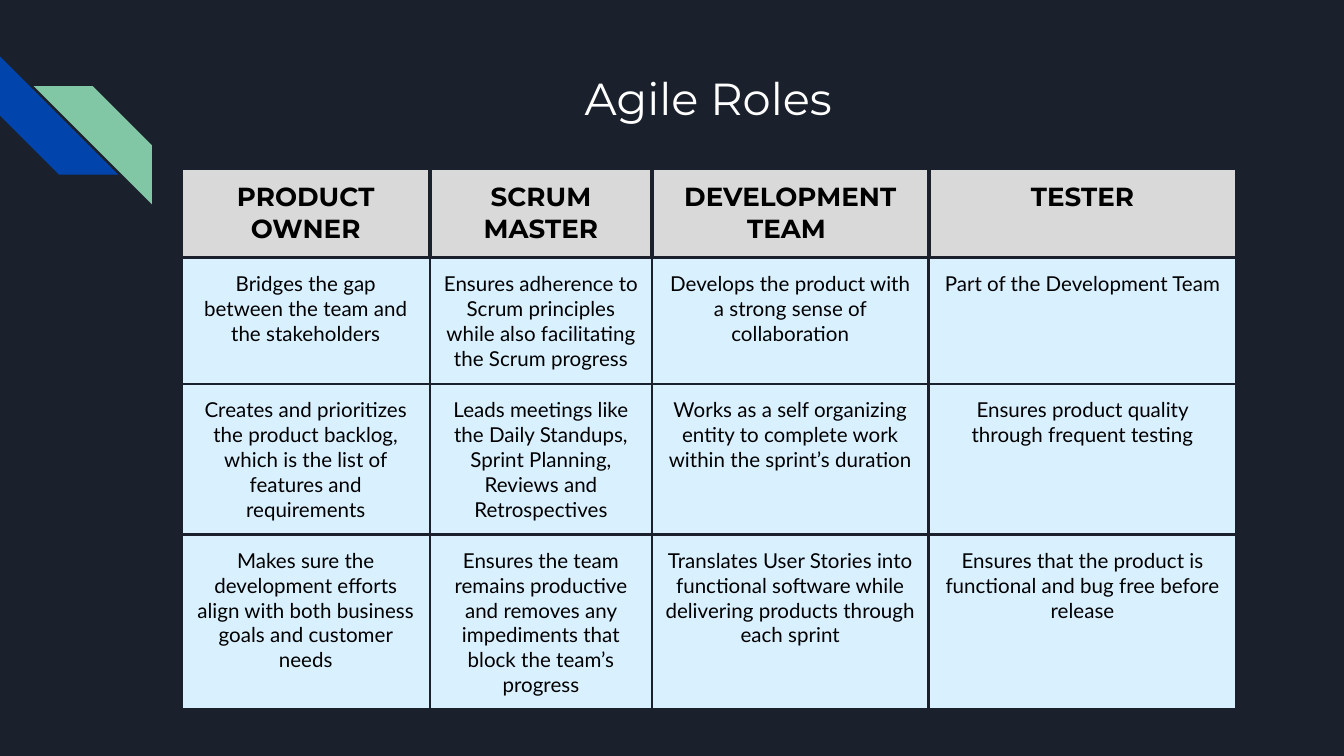
from dataclasses import dataclass

from lxml.etree import SubElement
from pptx import Presentation
from pptx.dml.color import RGBColor as RGB
from pptx.enum.shapes import MSO_SHAPE as SHAPE
from pptx.enum.text import MSO_ANCHOR as ANCHOR, PP_ALIGN as ALIGN
from pptx.oxml.ns import qn
from pptx.util import Inches, Pt

# Content
TITLE = "Agile Roles"
ROLES = [
    ("PRODUCT OWNER", "SCRUM MASTER", "DEVELOPMENT TEAM ", "TESTER"),
    ("Bridges the gap between the team and the stakeholders",
     "Ensures adherence to Scrum principles while also facilitating the Scrum progress",
     "Develops the product with a strong sense of collaboration",
     "Part of the Development Team"),
    ("Creates and prioritizes the product backlog, which is the list of features and requirements",
     "Leads meetings like the Daily Standups, Sprint Planning, Reviews and Retrospectives",
     "Works as a self organizing entity to complete work within the sprint’s duration",
     "Ensures product quality through frequent testing"),
    ("Makes sure the development efforts align with both business goals and customer needs",
     "Ensures the team remains productive and removes any impediments that block the team’s progress",
     "Translates User Stories into functional software while delivering products through each sprint",
     "Ensures that the product is functional and bug free before release"),
]
COL_WIDTHS = [1.85, 1.65, 2.06, 2.29]
ROW_HEIGHTS = [0.66, 0.94, 1.12, 1.3]


@dataclass(frozen=True)
class Theme:
    background: str = "1B212C"
    blue: str = "0145AC"
    green: str = "82C7A5"
    header_fill: str = "D9D9D9"
    body_fill: str = "D9F0FF"
    title_color: str = "FFFFFF"
    text_color: str = "000000"
    heading_font: str = "Montserrat"
    body_font: str = "Lato"
    title_size: int = 24
    header_size: int = 14
    body_size: int = 11
    header_line: float = 2.25
    body_line: float = 1.5


T = Theme()
# Stripes: left, top, rotation, colour
STRIPES = [(0, 0.42, 270, T.blue), (0.25, 0.64, 90, T.green)]
STRIPE_SIZE = 0.88
INSET = Inches(0.1)


def paint(fill, color):
    fill.solid()
    fill.fore_color.rgb = RGB.from_string(color)


def write(tf, text, font, size, color, bold=False):
    tf.word_wrap = True
    p = tf.paragraphs[0]
    p.alignment = ALIGN.CENTER
    r = p.add_run()
    r.text = text
    r.font.name, r.font.size, r.font.bold = font, Pt(size), bold
    r.font.color.rgb = RGB.from_string(color)


def set_insets(box):
    box.margin_left = box.margin_right = INSET
    box.margin_top = box.margin_bottom = INSET


def set_borders(cell, widths):
    tc_pr = cell._tc.get_or_add_tcPr()
    for i, (side, width) in enumerate(widths.items()):
        ln = SubElement(tc_pr, qn(f"a:{side}"), w=str(Pt(width)))
        fill = SubElement(ln, qn("a:solidFill"))
        SubElement(fill, qn("a:srgbClr"), val=T.background)
        tc_pr.remove(ln)
        tc_pr.insert(i, ln)  # borders come before the cell fill


def add_stripes(s):
    for left, top, rotation, color in STRIPES:
        sp = s.shapes.add_shape(SHAPE.DIAGONAL_STRIPE, Inches(left), Inches(top),
                                Inches(STRIPE_SIZE), Inches(STRIPE_SIZE))
        sp.rotation = rotation
        sp.shadow.inherit = False
        sp.line.fill.background()
        paint(sp.fill, color)


def add_title(s):
    tf = s.shapes.add_textbox(Inches(1.42), Inches(0.43), Inches(7.7), Inches(1)).text_frame
    set_insets(tf)
    tf.vertical_anchor = ANCHOR.TOP
    write(tf, TITLE, T.heading_font, T.title_size, T.title_color)


def add_roles_table(s):
    table = s.shapes.add_table(len(ROLES), len(COL_WIDTHS), Inches(1.35), Inches(1.25),
                               Inches(sum(COL_WIDTHS)), Inches(sum(ROW_HEIGHTS))).table
    table.horz_banding = False
    for col, width in zip(table.columns, COL_WIDTHS):
        col.width = Inches(width)
    for row, height in zip(table.rows, ROW_HEIGHTS):
        row.height = Inches(height)

    for i, texts in enumerate(ROLES):
        header = i == 0
        line = T.header_line if header else T.body_line
        widths = dict.fromkeys(("lnL", "lnR", "lnT", "lnB"), line)
        if i == 1:
            widths["lnT"] = T.header_line
        for j, text in enumerate(texts):
            cell = table.cell(i, j)
            set_insets(cell)
            cell.vertical_anchor = ANCHOR.TOP
            paint(cell.fill, T.header_fill if header else T.body_fill)
            set_borders(cell, widths)
            font, size = ((T.heading_font, T.header_size) if header
                          else (T.body_font, T.body_size))
            write(cell.text_frame, text, font, size, T.text_color, header)


def main():
    prs = Presentation()
    prs.slide_width = Inches(10)
    prs.slide_height = prs.slide_width * 9 // 16  # widescreen
    s = prs.slides.add_slide(prs.slide_layouts[6])
    paint(s.background.fill, T.background)
    add_stripes(s)
    add_title(s)
    add_roles_table(s)
    prs.save("out.pptx")


if __name__ == "__main__":
    main()
